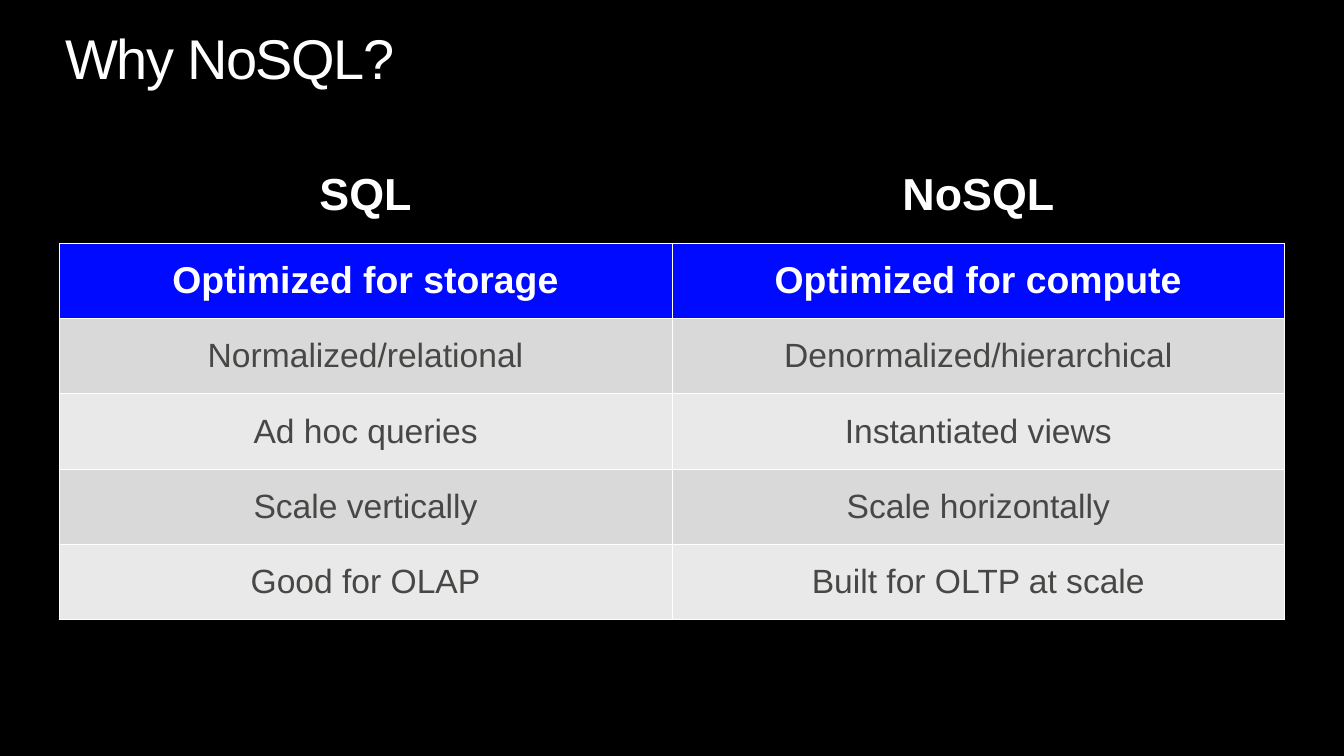
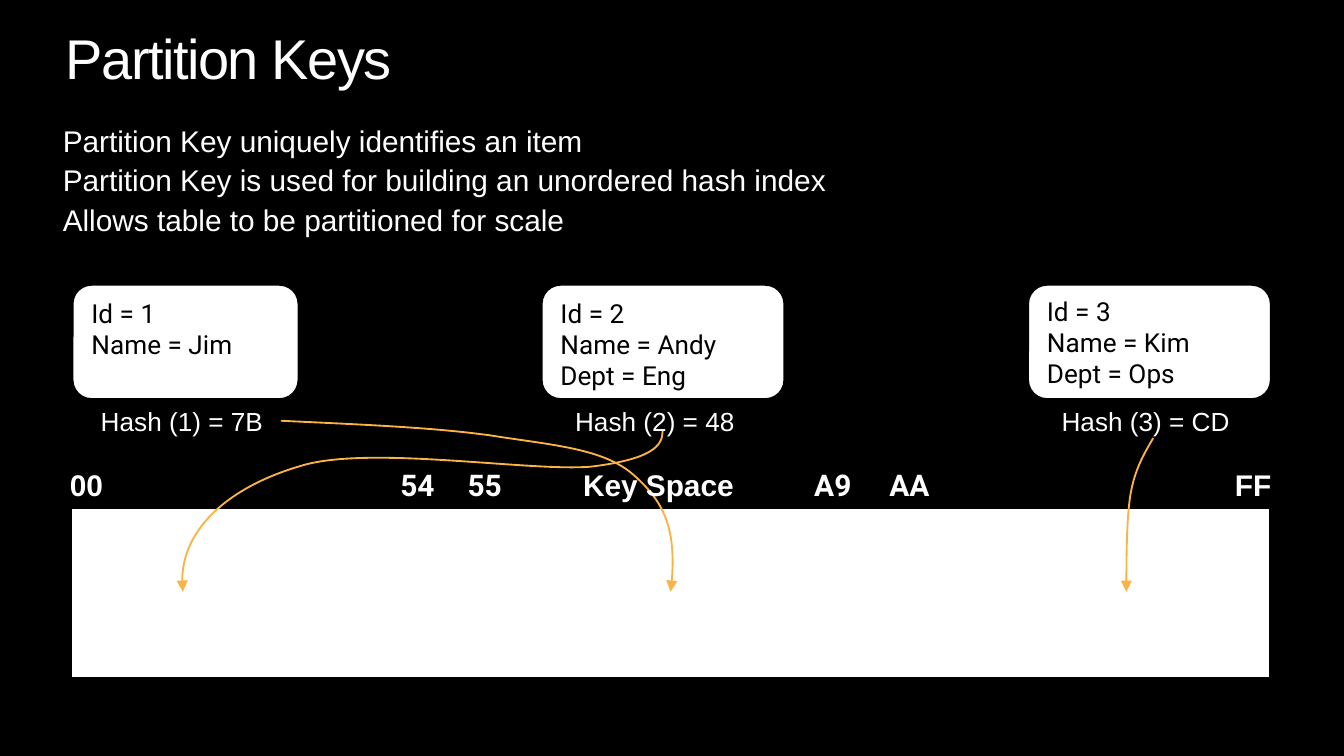
from collections import namedtuple
from dataclasses import dataclass
from lxml.etree import SubElement as Sub
from pptx import Presentation
from pptx.dml.color import RGBColor as RGB
from pptx.enum.shapes import MSO_SHAPE as Geo
from pptx.enum.text import MSO_ANCHOR as Anchor, PP_ALIGN as Align
from pptx.oxml.ns import qn
from pptx.util import Pt

Box = namedtuple("Box", "x y w h")


@dataclass(frozen=True)
class Theme:
    """Colours, fonts and type sizes of the deck."""
    back: str = "000000"
    ink: str = "FFFFFF"
    dark: str = "474746"
    head: str = "000AFF"
    bands: tuple = ("D9D9D9", "E9E9E9")
    flow: str = "FBB346"
    sans: str = "Arial"
    alt: str = "Roboto"
    title: int = 30
    label: int = 24
    lead: int = 20
    cell: int = 18
    body: int = 16
    note: int = 14


T = Theme()


def put(item, **vals):
    """Set every given format value on an item."""
    for key, val in vals.items():
        setattr(item, key, val)


def paint(fill, tone):
    """Fill with one solid colour."""
    fill.solid()
    fill.fore_color.rgb = RGB.from_string(tone)


def write(frame, lines, size, tone=T.ink, name=T.sans, bold=False, gap=0, **para):
    """Write lines as paragraphs in one type style."""
    for i, line in enumerate(lines):
        p = frame.add_paragraph() if i else frame.paragraphs[0]
        put(p, **para)
        if i and gap:
            p.space_before = Pt(gap)
        run = p.add_run()
        run.text = line
        put(run.font, size=Pt(size), name=name, bold=bold)
        run.font.color.rgb = RGB.from_string(tone)


def text(slide, box, lines, size, wrap=True, pad=(7.2, 3.6), **style):
    """Add a text box and return its frame."""
    frame = slide.shapes.add_textbox(*map(Pt, box)).text_frame
    across, down = map(Pt, pad)
    put(frame, word_wrap=wrap, margin_left=across, margin_right=across,
        margin_top=down, margin_bottom=down)
    write(frame, lines, size, **style)
    return frame


def block(slide, geo, box, width):
    """Add a light shape with a dark outline."""
    shape = slide.shapes.add_shape(geo, *map(Pt, box))
    shape.shadow.inherit = False
    paint(shape.fill, T.ink)
    paint(shape.line.fill, T.back)
    shape.line.width = Pt(width)
    return shape


def page(deck, title):
    """Add a dark slide with its title."""
    slide = deck.slides.add_slide(deck.slide_layouts[6])
    paint(slide.background.fill, T.back)
    frame = text(slide, Box(26.6, 9.4, 645.8, 43.2), [title], T.title,
                 pad=(8.6, 7.2), line_spacing=0.9)
    frame.paragraphs[0].runs[0].font._element.set("spc", "-80")
    return slide


def edge(cell):
    """Draw thin light borders around a cell."""
    props = cell._tc.get_or_add_tcPr()
    for side in ("lnL", "lnR", "lnT", "lnB"):
        line = Sub(props, qn(f"a:{side}"), w=str(Pt(0.5)))
        Sub(Sub(line, qn("a:solidFill")), qn("a:srgbClr"), val=T.ink)


def grid(slide, box, heads, rows):
    """Place column labels above a banded table."""
    top, wide = 45.3, box.w / len(heads)
    for i, head in enumerate(heads):
        text(slide, Box(box.x + i * wide, box.y, wide, 36), [head], T.label,
             bold=True, alignment=Align.CENTER)
    area = Box(box.x, box.y + top, box.w, box.h - top)
    table = slide.shapes.add_table(len(rows), len(heads), *map(Pt, area)).table
    put(table, first_row=False, horz_banding=False)
    for r, row in enumerate(rows):
        first = r == 0
        tone = T.head if first else T.bands[(r - 1) % 2]
        for c, word in enumerate(row):
            cell = table.cell(r, c)
            edge(cell)
            paint(cell.fill, tone)
            cell.vertical_anchor = Anchor.MIDDLE
            write(cell.text_frame, [word], T.lead if first else T.cell,
                  T.ink if first else T.dark, bold=first, alignment=Align.CENTER)


def curve(slide, box, dots):
    """Draw a Bézier arrow through points relative to a box."""
    first, *rest = [(Pt(box.x + x), Pt(box.y + y)) for x, y in dots]
    pen = slide.shapes.build_freeform(*first)
    pen.add_line_segments(rest, close=False)
    shape = pen.convert_to_shape()
    shape.shadow.inherit = False
    shape.fill.background()
    paint(shape.line.fill, T.flow)
    shape.line.width = Pt(1)
    Sub(shape.line._get_or_add_ln(), qn("a:tailEnd"), type="triangle")
    track = next(shape._element.iter(qn("a:path")))
    steps = track.findall(qn("a:lnTo"))
    for i in range(0, len(steps), 3):
        bend = Sub(track, qn("a:cubicBezTo"))
        for step in steps[i:i + 3]:
            bend.append(step[0])
            track.remove(step)


def flows(slide, box):
    """Draw the arrows from hashes to key ranges."""
    for dots in (
        [(261, 6), (261, 14), (255, 21), (223, 25), (190, 28), (102, 13),
         (66, 25), (29, 36), (0, 61), (4, 92)],
        [(56.5, 0.4), (101, 2.5), (138, 4), (169, 8.3), (200.5, 13.3),
         (228, 15), (244.4, 28.5), (260, 42), (269.6, 57.2), (265.3, 92)],
        [(523.8, 9.7), (518.7, 18.4), (513.7, 27), (511.5, 40.7),
         (509.4, 54.4), (509.4, 92), (509.4, 92)],
    ):
        curve(slide, box, dots)


def cards(slide, box):
    """Place each item card with its hash below."""
    for x, wide, lines, mark, dx, span, anchor in (
        (0, 121, ["Id = 1", "Name = Jim"], "Hash (1) = 7B", 8, 105.8, Anchor.TOP),
        (251.3, 130, ["Id = 2", "Name = Andy", "Dept = Eng"],
         "Hash (2) = 48", 10.8, 104.4, Anchor.TOP),
        (511.9, 130, ["Id = 3", "Name = Kim", "Dept = Ops"],
         "Hash (3) = CD", 10.8, 108.7, Anchor.MIDDLE),
    ):
        left = box.x + x
        card = block(slide, Geo.ROUNDED_RECTANGLE, Box(left, box.y, wide, 61.2), 1)
        put(card.text_frame, word_wrap=True, vertical_anchor=anchor)
        write(card.text_frame, lines, T.note, T.back, T.alt, alignment=Align.LEFT)
        text(slide, Box(left + dx, box.y + 61.2, span, 24.5), [mark], T.note, wrap=False)


def marks(slide, box):
    """Label the key ranges along the top of the bar."""
    for x, wide, word, name in (
        (-7.9, 32.4, "00", T.sans),
        (169.2, 33, "54", T.alt),
        (205.2, 33, "55", T.alt),
        (267.1, 97.2, "Key Space", T.sans),
        (390.9, 34.6, "A9", T.alt),
        (431.2, 36.7, "AA", T.alt),
        (616.3, 34.6, "FF", T.sans),
    ):
        text(slide, Box(box.x + x, box.y - 25.5, wide, 26.6), [word], T.body,
             wrap=False, name=name, bold=True)


def compare(deck):
    """Build the slide that sets SQL against NoSQL."""
    slide = page(deck, "Why NoSQL?")
    grid(slide, Box(31.7, 85, 656.6, 246.9), ["SQL", "NoSQL"], [
        ("Optimized for storage", "Optimized for compute"),
        ("Normalized/relational", "Denormalized/hierarchical"),
        ("Ad hoc queries", "Instantiated views"),
        ("Scale vertically", "Scale horizontally"),
        ("Good for OLAP", "Built for OLTP at scale"),
    ])


def keys(deck):
    """Build the slide on partition keys."""
    slide = page(deck, "Partition Keys")
    text(slide, Box(26.6, 63.4, 645.8, 70.6), [
        "Partition Key uniquely identifies an item",
        "Partition Key is used for building an unordered hash index",
        "Allows table to be partitioned for scale",
    ], T.body, pad=(7.2, 4.3), gap=4, line_spacing=0.9)
    bar = Box(38.2, 272.2, 642.2, 90.7)
    block(slide, Geo.RECTANGLE, bar, 0.75)
    flows(slide, Box(94, 225, 524, 92))
    cards(slide, Box(38.9, 152.6, 642, 85.7))
    marks(slide, bar)


def main():
    """Build and save the deck."""
    deck = Presentation()
    put(deck, slide_width=Pt(720), slide_height=Pt(405))
    compare(deck)
    keys(deck)
    deck.save("out.pptx")


if __name__ == "__main__":
    main()
